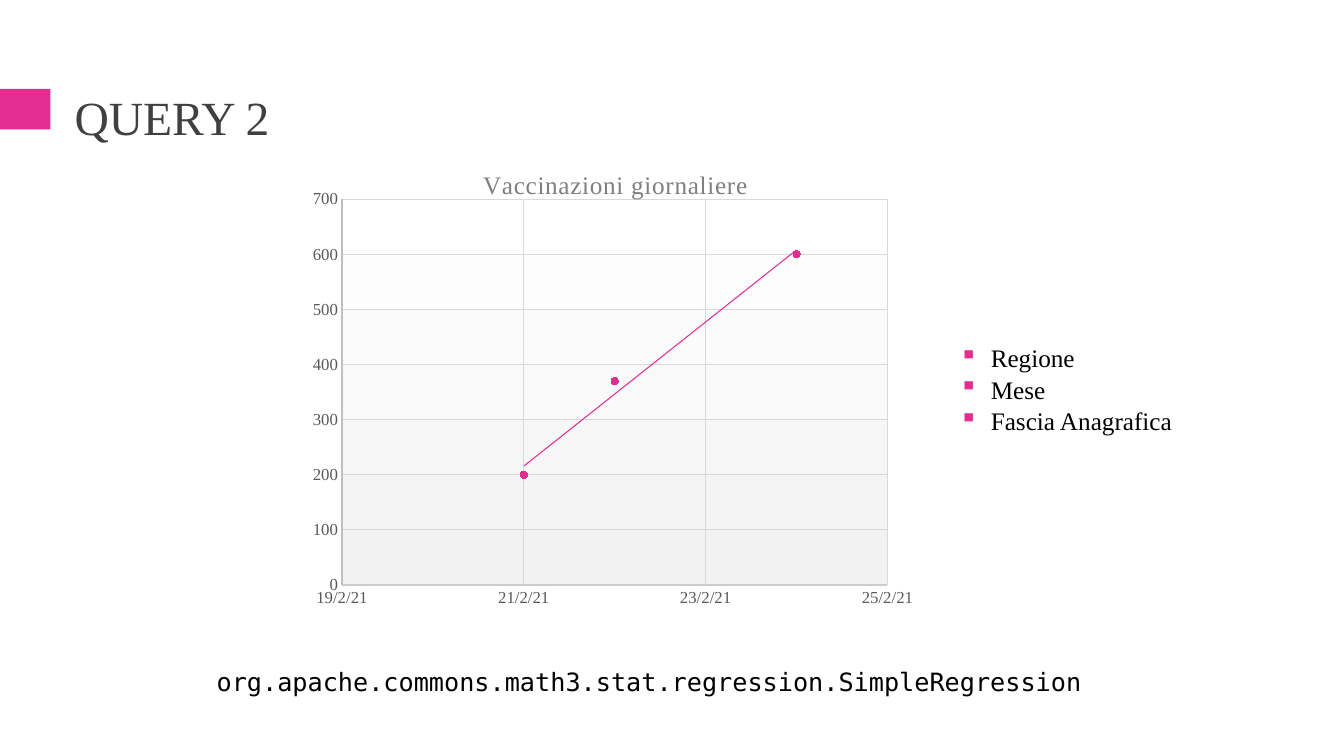
import pptx
import pptx.chart.data
import pptx.dml.color
import pptx.enum.chart
import pptx.enum.shapes
import pptx.oxml
import pptx.oxml.ns
import pptx.util

Cm = pptx.util.Cm
Pt = pptx.util.Pt
RGB = pptx.dml.color.RGBColor

PINK = RGB(0xE3, 0x2D, 0x91)
DARK = RGB(0x40, 0x40, 0x40)
SLATE = RGB(0x59, 0x59, 0x59)
GREY = RGB(0x7F, 0x7F, 0x7F)
GRID = RGB(0xD9, 0xD9, 0xD9)
BASE = RGB(0xCC, 0xCC, 0xCC)
EDGE = RGB(0xBF, 0xBF, 0xBF)
WHITE = RGB(0xFF, 0xFF, 0xFF)
MIST = RGB(0xF2, 0xF2, 0xF2)
BLACK = RGB(0, 0, 0)

SERIF = "Times New Roman"
MONO = "DejaVu Sans Mono"
START = 44246
DAYS = (2, 3, 5)
DOSES = (200, 370, 600)


def make_xml(tag, body):
    space = pptx.oxml.ns.nsdecls("c", "a")
    return pptx.oxml.parse_xml(f"<{tag} {space}>{body}</{tag}>")


def set_font(font, name, size, color):
    font.name = name
    font.size = Pt(size)
    font.bold = False
    font.color.rgb = color


def add_text(slide, box, lines, name, size, color):
    frame = slide.shapes.add_textbox(*map(Cm, box)).text_frame
    frame.word_wrap = True
    for i, line in enumerate(lines):
        para = frame.paragraphs[0] if i == 0 else frame.add_paragraph()
        run = para.add_run()
        run.text = line
        set_font(run.font, name, size, color)
    return frame


def add_head(slide, box):
    left, top, width, height = box
    bar = slide.shapes.add_shape(
        pptx.enum.shapes.MSO_SHAPE.RECTANGLE,
        Cm(left), Cm(top + 0.28), Cm(1.27), Cm(1.02))
    bar.shadow.inherit = False
    bar.fill.solid()
    bar.fill.fore_color.rgb = PINK
    bar.line.fill.background()
    frame = add_text(slide, (left + 1.63, top, width - 1.63, height),
                     ["QUERY 2"], SERIF, 34, DARK)
    frame.margin_top = Cm(0.25)


def style_axis(axis, low, high, step, color):
    axis.minimum_scale = low
    axis.maximum_scale = high
    axis.major_unit = step
    axis.major_tick_mark = pptx.enum.chart.XL_TICK_MARK.NONE
    axis.minor_tick_mark = pptx.enum.chart.XL_TICK_MARK.NONE
    axis.has_major_gridlines = True
    for line, tone in ((axis.format.line, color),
                       (axis.major_gridlines.format.line, GRID)):
        line.color.rgb = tone
        line.width = Pt(0.75)
    set_font(axis.tick_labels.font, SERIF, 12, SLATE)


def set_place(parent, body):
    for old in parent.findall(pptx.oxml.ns.qn("c:layout")):
        parent.remove(old)
    return make_xml("c:layout", f"<c:manualLayout>{body}</c:manualLayout>")


def add_plot(slide, box):
    data = pptx.chart.data.XyChartData()
    row = data.add_series("Vaccinazioni giornaliere")
    for day, dose in zip(DAYS, DOSES):
        row.add_data_point(START + day, dose)
    chart = slide.shapes.add_chart(
        pptx.enum.chart.XL_CHART_TYPE.XY_SCATTER, *map(Cm, box), data).chart
    set_font(chart.font, SERIF, 10, BLACK)
    chart.has_legend = False
    chart.plots[0].vary_by_categories = False

    style_axis(chart.category_axis, START, START + 6, 2, BASE)
    style_axis(chart.value_axis, 0, 700, 100, EDGE)
    labels = chart.category_axis.tick_labels
    labels.number_format = "d/m/yy"
    labels.number_format_is_linked = False

    dots = chart.plots[0].series[0]
    dots.smooth = False
    dots.format.line.fill.background()
    dots.marker.style = pptx.enum.chart.XL_MARKER_STYLE.CIRCLE
    dots.marker.size = 5
    dots.marker.format.fill.solid()
    dots.marker.format.fill.fore_color.rgb = PINK
    dots.marker.format.line.fill.background()

    chart.has_title = True
    run = chart.chart_title.text_frame.paragraphs[0].add_run()
    run.text = "Vaccinazioni giornaliere"
    set_font(run.font, SERIF, 18, GREY)
    run.font._element.set("spc", "50")

    root = chart.element
    title = root.xpath("c:chart/c:title")[0]
    place = set_place(title, '<c:xMode val="edge"/><c:yMode val="edge"/>'
                      '<c:x val="0.29"/><c:y val="0.04"/>')
    title.find(pptx.oxml.ns.qn("c:tx")).addnext(place)

    area = root.xpath("c:chart/c:plotArea")[0]
    area.insert(0, set_place(
        area, '<c:layoutTarget val="inner"/>'
        '<c:xMode val="edge"/><c:yMode val="edge"/>'
        '<c:x val="0.074"/><c:y val="0.112"/>'
        '<c:w val="0.863"/><c:h val="0.801"/>'))
    stops = "".join(
        f'<a:gs pos="{spot}"><a:srgbClr val="{tone}"/></a:gs>'
        for spot, tone in ((0, WHITE), (100000, MIST)))
    area.append(make_xml(
        "c:spPr", f'<a:gradFill><a:gsLst>{stops}</a:gsLst>'
        '<a:lin ang="5400000" scaled="0"/></a:gradFill>'
        '<a:ln><a:noFill/></a:ln>'))
    root.xpath("c:chart")[0].addnext(make_xml(
        "c:spPr", f'<a:solidFill><a:srgbClr val="{WHITE}"/></a:solidFill>'
        '<a:ln><a:noFill/></a:ln>'))
    root.xpath(".//c:xVal")[0].addprevious(make_xml(
        "c:trendline", '<c:spPr><a:ln w="9525"><a:solidFill>'
        f'<a:srgbClr val="{PINK}"/></a:solidFill></a:ln></c:spPr>'
        '<c:trendlineType val="linear"/><c:dispRSqr val="0"/>'
        '<c:dispEq val="0"/>'))


def add_list(slide, box):
    frame = add_text(slide, box, ["Regione", "Mese", "Fascia Anagrafica"],
                     SERIF, 18, BLACK)
    for para in frame.paragraphs:
        para.line_spacing = 1.05
        props = para._p.get_or_add_pPr()
        props.set("marL", str(Cm(0.79)))
        props.set("indent", str(-Cm(0.79)))
        props.append(make_xml("a:buClr", f'<a:srgbClr val="{PINK}"/>'))
        mark = make_xml("a:buChar", "")
        mark.set("char", "▪")
        props.append(mark)


def main():
    deck = pptx.Presentation()
    deck.slide_width = Cm(33.87)
    deck.slide_height = Cm(19.05)
    slide = deck.slides.add_slide(deck.slide_layouts[6])
    add_head(slide, (0, 1.96, 32.26, 2.06))
    add_plot(slide, (7.44, 3.66, 15.93, 12.14))
    add_text(slide, (5.21, 16.66, 23.9, 1.8),
             ["org.apache.commons.math3.stat.regression.SimpleRegression"],
             MONO, 18, BLACK)
    add_list(slide, (23.93, 8.46, 7.75, 2.57))
    deck.save("out.pptx")


if __name__ == "__main__":
    main()
